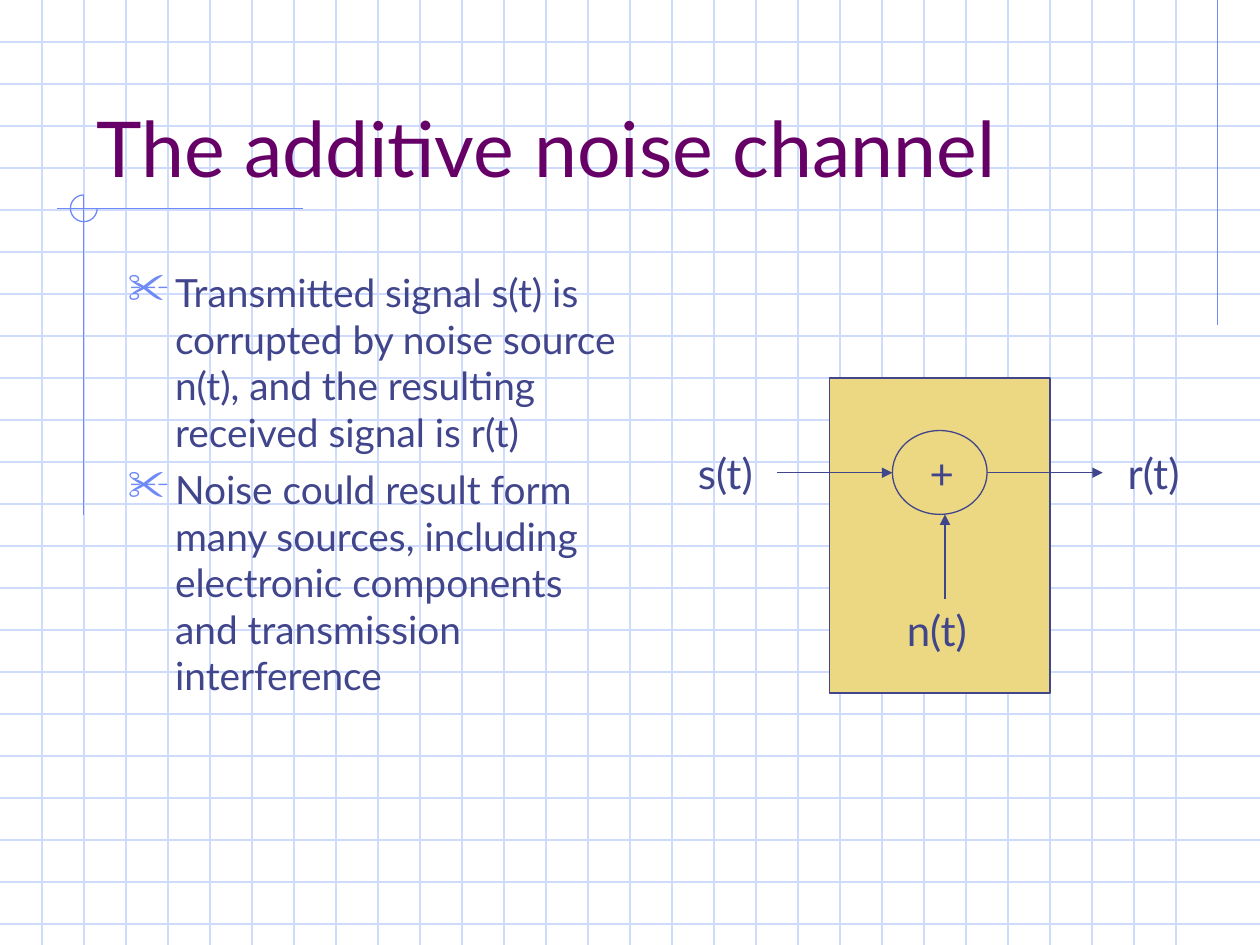
from lxml.etree import SubElement
from pptx import Presentation
from pptx.dml.color import RGBColor
from pptx.enum.shapes import MSO_CONNECTOR, MSO_SHAPE
from pptx.enum.text import MSO_ANCHOR, MSO_AUTO_SIZE, PP_ALIGN
from pptx.oxml.ns import qn
from pptx.util import Cm, Pt

# All lengths are in centimetres, text sizes in points.
COLORS = {"grid": "CFDBFD", "accent": "6F89F7", "title": "660066",
          "ink": "40458C", "channel": "ECD882"}
FONT = "Lato"
LINE_WIDTH = Pt(0.74)
SLIDE_WIDTH, SLIDE_HEIGHT = 25.4, 19.05
GRID_STEP = 2.54 / 3

TITLE = "The additive noise channel"
TITLE_BOX = (1.69, 0.85, 21.59, 3.17)
BULLETS = [
    "Transmitted signal s(t) is corrupted by noise source n(t), "
    "and the resulting received signal is r(t)",
    "Noise could result form many sources, including electronic "
    "components and transmission interference",
]
BULLETS_BOX = (2.33, 5.29, 10.58, 11.43)
BULLET_INDENT = 0.95

ACCENT_LINES = [
    (24.55, 0, 24.55, 6.56),
    (6.1, 4.21, 1.15, 4.21),
    (1.69, 3.94, 1.69, 10.38),
]
ACCENT_ARC = (1.42, 3.93, 0.54, 0.54)

CHANNEL_BOX = (16.72, 7.62, 4.45, 6.35)
ADDER_BOX = (17.99, 8.68, 1.91, 1.69)
SIGNAL_Y = 9.53
ARROWS = [
    (19.05, 12.07, 19.05, 10.37),
    (15.66, SIGNAL_Y, 17.99, SIGNAL_Y),
    (19.9, SIGNAL_Y, 22.23, SIGNAL_Y),
]
LABEL_HEIGHT = 1.27
LABEL_Y = SIGNAL_Y - LABEL_HEIGHT / 2
LABELS = [
    ("n(t)", 18.03, 12.07, 1.83),
    ("+", 18.49, LABEL_Y, 0.99),
    ("s(t)", 13.82, LABEL_Y, 1.73),
    ("r(t)", 22.48, LABEL_Y, 1.68),
]


def rgb(name):
    """Return the named colour."""
    return RGBColor.from_string(COLORS[name])


def lengths(values):
    """Turn centimetre numbers into lengths."""
    return [Cm(value) for value in values]


def add_line(slide, ends, color, arrow=False):
    """Draw a straight line, with an arrowhead at its end if asked."""
    line = slide.shapes.add_connector(MSO_CONNECTOR.STRAIGHT, *lengths(ends))
    line.line.color.rgb = rgb(color)
    line.line.width = LINE_WIDTH
    properties = line.element.spPr
    if arrow:
        SubElement(properties.find(qn("a:ln")), qn("a:tailEnd"), type="triangle")
    SubElement(properties, qn("a:effectLst"))


def add_outline(slide, kind, box, line_color, fill=None):
    """Draw a preset shape with a thin outline."""
    shape = slide.shapes.add_shape(kind, *lengths(box))
    shape.shadow.inherit = False
    if fill:
        shape.fill.solid()
        shape.fill.fore_color.rgb = rgb(fill)
    else:
        shape.fill.background()
    shape.line.color.rgb = rgb(line_color)
    shape.line.width = LINE_WIDTH
    return shape


def add_text(paragraph, text, size, color):
    """Add one formatted run to a left-aligned paragraph."""
    paragraph.alignment = PP_ALIGN.LEFT
    run = paragraph.add_run()
    run.text = text
    run.font.name = FONT
    run.font.size = Pt(size)
    run.font.color.rgb = rgb(color)


def add_bullet(paragraph):
    """Give a paragraph a scissors bullet and a hanging indent."""
    properties = paragraph._p.get_or_add_pPr()
    properties.set("marL", str(Cm(BULLET_INDENT)))
    properties.set("indent", str(-Cm(BULLET_INDENT)))
    color = SubElement(properties, qn("a:buClr"))
    SubElement(color, qn("a:srgbClr"), val=COLORS["accent"])
    SubElement(properties, qn("a:buSzPct"), val="110000")
    SubElement(properties, qn("a:buChar"), char="\u2702")


def add_background(slide):
    """Draw the squared-paper grid and its accent lines."""
    for row in range(1, int(SLIDE_HEIGHT / GRID_STEP) + 1):
        y = row * GRID_STEP
        add_line(slide, (0, y, SLIDE_WIDTH, y), "grid")
    for column in range(1, int(SLIDE_WIDTH / GRID_STEP)):
        x = column * GRID_STEP
        add_line(slide, (x, 0, x, SLIDE_HEIGHT), "grid")
    for ends in ACCENT_LINES:
        add_line(slide, ends, "accent")
    arc = add_outline(slide, MSO_SHAPE.ARC, ACCENT_ARC, "accent")
    arc.adjustments[0] = 0
    arc.adjustments[1] = 162  # 270 degrees


def add_title(slide):
    """Place the title in front of the grid."""
    title = slide.shapes.title
    slide.shapes.element.append(title.element)
    title.left, title.top, title.width, title.height = lengths(TITLE_BOX)
    frame = title.text_frame
    frame.auto_size = MSO_AUTO_SIZE.NONE
    frame.vertical_anchor = MSO_ANCHOR.BOTTOM
    add_text(frame.paragraphs[0], TITLE, 44, "title")


def add_bullets(slide):
    """Add the bulleted explanation."""
    frame = slide.shapes.add_textbox(*lengths(BULLETS_BOX)).text_frame
    frame.word_wrap = True
    for index, text in enumerate(BULLETS):
        paragraph = frame.add_paragraph() if index else frame.paragraphs[0]
        paragraph.space_before = Pt(6)
        add_bullet(paragraph)
        add_text(paragraph, text, 22.2, "ink")


def add_diagram(slide):
    """Draw the channel, its adder, the arrows and the signal names."""
    add_outline(slide, MSO_SHAPE.RECTANGLE, CHANNEL_BOX, "ink", "channel")
    add_outline(slide, MSO_SHAPE.OVAL, ADDER_BOX, "ink", "channel")
    for ends in ARROWS:
        add_line(slide, ends, "ink", arrow=True)
    for text, left, top, width in LABELS:
        box = slide.shapes.add_textbox(*lengths((left, top, width, LABEL_HEIGHT)))
        box.text_frame.word_wrap = False
        box.text_frame.auto_size = MSO_AUTO_SIZE.SHAPE_TO_FIT_TEXT
        add_text(box.text_frame.paragraphs[0], text, 24, "ink")


presentation = Presentation()
presentation.slide_width = Cm(SLIDE_WIDTH)
presentation.slide_height = Cm(SLIDE_HEIGHT)
slide = presentation.slides.add_slide(presentation.slide_layouts[5])
add_background(slide)
add_title(slide)
add_bullets(slide)
add_diagram(slide)
presentation.save("out.pptx")
